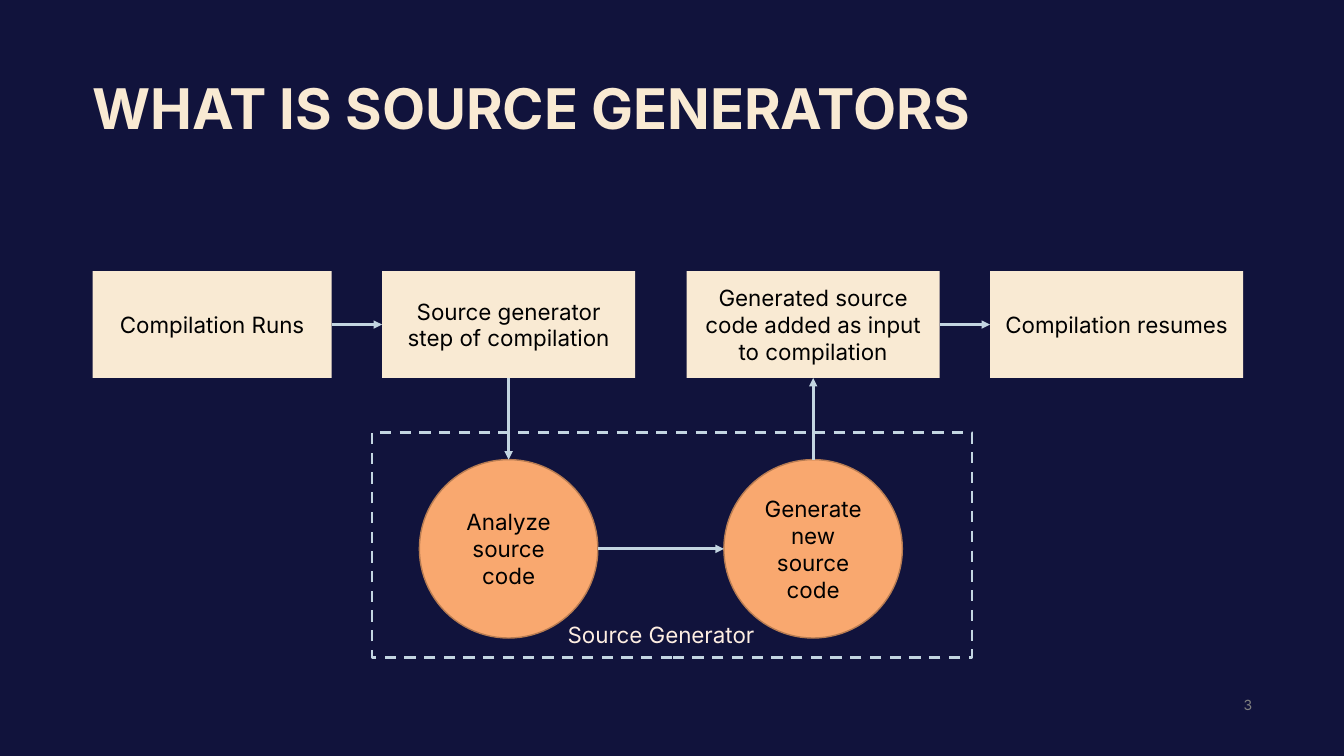
import pptx
import pptx.util
import pptx.dml.color
import pptx.enum.dml
import pptx.enum.shapes
import pptx.enum.text
import pptx.oxml
from pptx.util import Inches

TITLE = "WHAT IS SOURCE GENERATORS"
FRAME_LABEL = "Source Generator"
PAGE_NUMBER = "3"
FONT = "Inter"
COLORS = {
    "background": "11133C", "cream": "F9EAD3", "orange": "F9A86F",
    "orange_edge": "B87C52", "line": "C3D5E1", "label": "FEEEE2",
    "black": "000000", "gray": "808080",
}

# Name: (text, left, width)
STEPS = {
    "run": ("Compilation Runs", 0.92, 2.37),
    "step": ("Source generator step of compilation", 3.79, 2.51),
    "added": ("Generated source code added as input to compilation", 6.81, 2.51),
    "resume": ("Compilation resumes", 9.82, 2.51),
}
STEP_TOP, STEP_HEIGHT = 2.69, 1.06

# Name: (text, step that the circle is centred under)
CIRCLES = {
    "analyze": ("Analyze source code", "step"),
    "generate": ("Generate new source code", "added"),
}
CIRCLE_TOP, CIRCLE_SIZE = 4.56, 1.77

ARROWS = [
    ("run", "right", "step", "left"),
    ("step", "bottom", "analyze", "top"),
    ("analyze", "right", "generate", "left"),
    ("generate", "top", "added", "bottom"),
    ("added", "right", "resume", "left"),
]
# Fractions of the width and height of a shape
SIDES = {"left": (0, 0.5), "right": (1, 0.5), "top": (0.5, 0), "bottom": (0.5, 1)}

SHAPE = pptx.enum.shapes.MSO_SHAPE
ALIGN = pptx.enum.text.PP_ALIGN
ANCHOR = pptx.enum.text.MSO_ANCHOR


def rgb(name):
    return pptx.dml.color.RGBColor.from_string(COLORS[name])


def write(shape, text, size, color, align=ALIGN.LEFT, anchor=ANCHOR.TOP, inset=0, bold=False):
    frame = shape.text_frame
    frame.text = text
    frame.word_wrap = True
    frame.auto_size = pptx.enum.text.MSO_AUTO_SIZE.NONE
    frame.vertical_anchor = anchor
    frame.margin_left = frame.margin_right = Inches(inset)
    frame.margin_top = frame.margin_bottom = Inches(inset)
    paragraph = frame.paragraphs[0]
    paragraph.alignment = align
    font = paragraph.runs[0].font
    font.name, font.size, font.bold = FONT, pptx.util.Pt(size), bold
    font.color.rgb = rgb(color)


def style_line(line, color, width):
    line.color.rgb = rgb(color)
    line.width = pptx.util.Pt(width)


def add_node(slide, kind, text, box, fill):
    shape = slide.shapes.add_shape(kind, *map(Inches, box))
    shape.shadow.inherit = False
    shape.fill.solid()
    shape.fill.fore_color.rgb = rgb(fill)
    shape.line.fill.background()
    write(shape, text, 16, "black", ALIGN.CENTER, ANCHOR.MIDDLE, 0.12)
    return shape


def side_point(shape, side):
    across, down = SIDES[side]
    return int(shape.left + across * shape.width), int(shape.top + down * shape.height)


def add_arrow(slide, start, end):
    arrow = slide.shapes.add_connector(
        pptx.enum.shapes.MSO_CONNECTOR.STRAIGHT, *start, *end)
    style_line(arrow.line, "line", 2)
    head = pptx.oxml.parse_xml(
        '<a:tailEnd xmlns:a="http://schemas.openxmlformats.org/drawingml/2006/main" type="triangle"/>')
    effects = pptx.oxml.parse_xml(
        '<a:effectLst xmlns:a="http://schemas.openxmlformats.org/drawingml/2006/main"/>')
    arrow.line._get_or_add_ln().append(head)
    arrow._element.spPr.append(effects)


def add_textbox(slide, box, *args, **options):
    write(slide.shapes.add_textbox(*map(Inches, box)), *args, **options)


def main():
    presentation = pptx.Presentation()
    presentation.slide_width, presentation.slide_height = Inches(13.33), Inches(7.5)
    slide = presentation.slides.add_slide(presentation.slide_layouts[5])
    slide.background.fill.solid()
    slide.background.fill.fore_color.rgb = rgb("background")

    title = slide.shapes.title
    title.left, title.top, title.width, title.height = map(Inches, (0.92, 0.8, 11.5, 1.29))
    write(title, TITLE, 40, "cream", bold=True)
    title.text_frame.paragraphs[0].line_spacing = 0.9

    nodes = {}
    for name, (text, left, width) in STEPS.items():
        box = (left, STEP_TOP, width, STEP_HEIGHT)
        nodes[name] = add_node(slide, SHAPE.RECTANGLE, text, box, "cream")
    for name, (text, step) in CIRCLES.items():
        _, left, width = STEPS[step]
        box = (left + (width - CIRCLE_SIZE) / 2, CIRCLE_TOP, CIRCLE_SIZE, CIRCLE_SIZE)
        nodes[name] = add_node(slide, SHAPE.OVAL, text, box, "orange")
        style_line(nodes[name].line, "orange_edge", 1)

    for source, source_side, target, target_side in ARROWS:
        add_arrow(slide, side_point(nodes[source], source_side),
                  side_point(nodes[target], target_side))

    frame = slide.shapes.add_shape(SHAPE.RECTANGLE, *map(Inches, (3.69, 4.29, 5.95, 2.23)))
    frame.shadow.inherit = False
    frame.fill.background()
    style_line(frame.line, "line", 2)
    frame.line.dash_style = pptx.enum.dml.MSO_LINE.DASH

    add_textbox(slide, (5.63, 6.16, 2.07, 0.48), FRAME_LABEL, 16, "label")
    add_textbox(slide, (11.56, 6.78, 0.86, 0.43), PAGE_NUMBER, 10, "gray",
                align=ALIGN.RIGHT, anchor=ANCHOR.MIDDLE)
    presentation.save("out.pptx")


if __name__ == "__main__":
    main()
